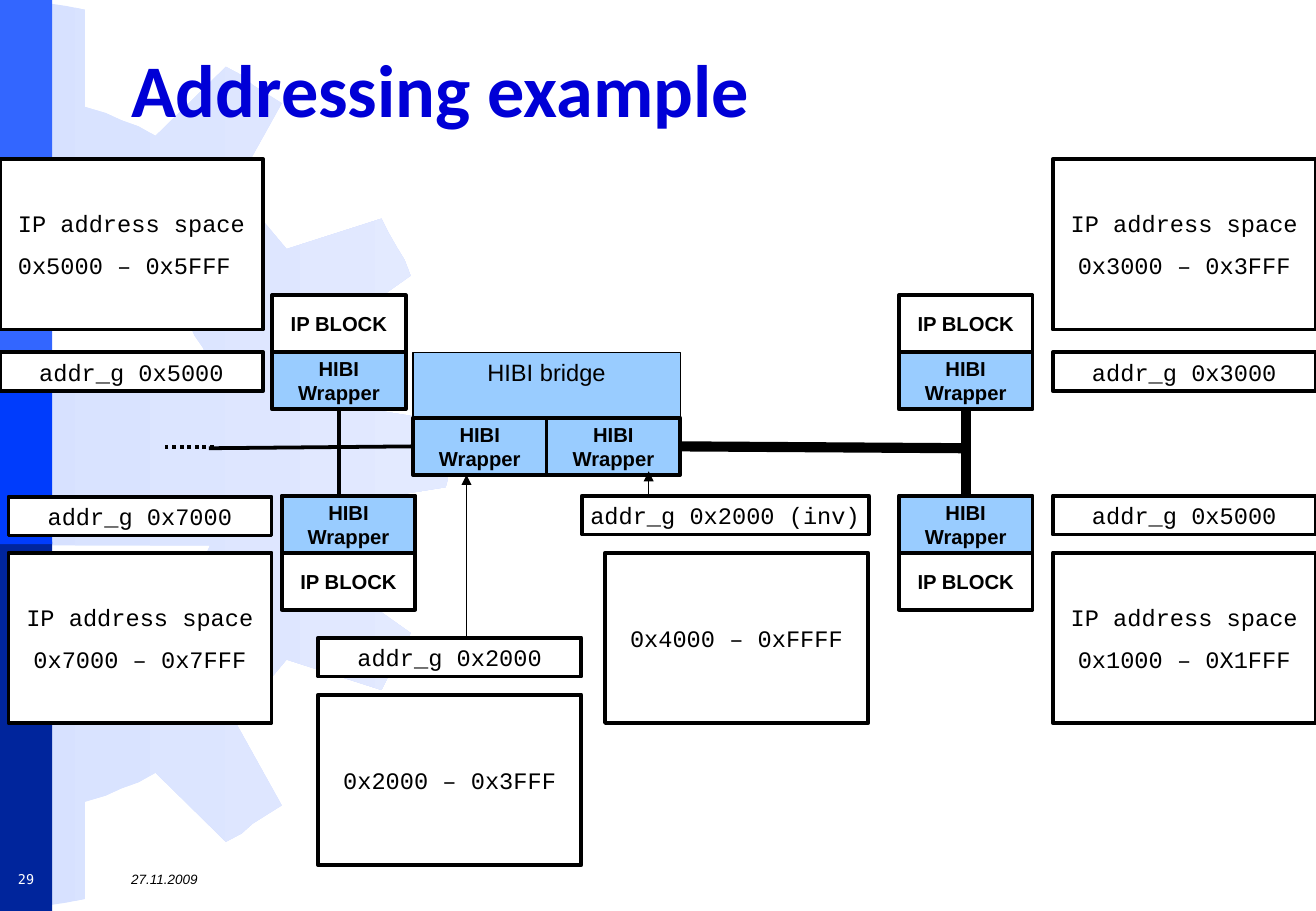
import dataclasses
from typing import Optional

import pptx
import pptx.dml.color
import pptx.enum.dml
import pptx.enum.shapes
import pptx.enum.text
import pptx.oxml
import pptx.oxml.ns
import pptx.oxml.xmlchemy
import pptx.presentation
import pptx.shapes.autoshape
import pptx.shapes.connector
import pptx.slide
import pptx.util

Pt = pptx.util.Pt
RGBColor = pptx.dml.color.RGBColor
ALIGN = pptx.enum.text.PP_ALIGN
ANCHOR = pptx.enum.text.MSO_ANCHOR
SHAPE = pptx.enum.shapes.MSO_SHAPE
Shape = pptx.shapes.autoshape.Shape
Slide = pptx.slide.Slide

BLACK = RGBColor(0x00, 0x00, 0x00)
WHITE = RGBColor(0xFF, 0xFF, 0xFF)
TITLE_BLUE = RGBColor(0x00, 0x00, 0xD6)
WRAPPER_BLUE = RGBColor(0x99, 0xCC, 0xFF)
GEAR_COLORS = (RGBColor(0xD7, 0xE1, 0xFF), RGBColor(0xE3, 0xEA, 0xFF))
BANDS = (  # top, height, colour
    (0, 219.6, RGBColor(0x33, 0x66, 0xFF)),
    (321.1, 218.9, RGBColor(0x00, 0x25, 0x9C)),
    (215.3, 107.3, RGBColor(0x00, 0x3C, 0xFC)),
)
BAND_WIDTH = 31
GEAR_HEIGHT = 538.6
GEAR_UPPER_HALF = (
    (266.4, 258.5), (264.2, 249.8), (205.9, 240.5), (203.8, 230.4), (202.3, 219.6),
    (198, 209.5), (196.6, 196.6), (243.4, 163.4), (239.8, 154.1), (235.4, 146.9),
    (230.4, 138.2), (226.1, 129.6), (169.9, 147.6), (162, 138.2), (154.8, 129.6),
    (148.3, 121.7), (138.2, 113), (167, 61.2), (157.7, 55.4), (149.8, 50.4),
    (143.3, 44.6), (133.9, 39.6), (92.2, 80.6), (82.1, 74.9), (72, 71.3),
    (62.6, 67), (50.4, 63.4), (50.4, 5.8), (39.6, 3.6), (30.2, 2.2), (20.9, 0.7),
    (10.1, 0), (10.1, 126.7), (20.2, 129.6), (30.2, 130.3), (38.9, 133.9),
    (46.8, 137.5), (56.2, 141.1), (64.1, 144.7), (72, 150.5), (79.9, 155.5),
    (85.7, 162.7), (93.6, 168.5), (100.1, 174.2), (105.8, 182.2), (111.6, 190.1),
    (115.2, 198.7), (120.2, 205.9), (124.6, 215.3), (0, 215.3),
)


@dataclasses.dataclass(frozen=True)
class TextStyle:
    font: dict
    paragraph: dict
    frame: dict


@dataclasses.dataclass(frozen=True)
class BoxStyle:
    text: TextStyle
    fill: RGBColor = WHITE
    line_width: float = 2.25
    preset: SHAPE = SHAPE.RECTANGLE


@dataclasses.dataclass(frozen=True)
class Box:
    left: float
    top: float
    width: float
    height: float
    text: str
    style: BoxStyle


@dataclasses.dataclass(frozen=True)
class Wire:
    """A line; begin and end name a box and the side that it joins."""
    start: tuple
    stop: tuple
    width: float
    begin: Optional[tuple] = None
    end: Optional[tuple] = None
    dotted: bool = False
    arrow: bool = False


CENTERED = {"alignment": ALIGN.CENTER}
NO_WRAP = {"word_wrap": False, "vertical_anchor": ANCHOR.MIDDLE}
WRAP = {"word_wrap": True, "vertical_anchor": ANCHOR.MIDDLE}
TIGHT = {**NO_WRAP, "margin_top": 0, "margin_bottom": 0}

BLOCK_TEXT = TextStyle({"name": "Arial", "size": Pt(12), "bold": True}, CENTERED, TIGHT)
CODE_TEXT = TextStyle({"name": "Courier New", "size": Pt(14)},
                      {**CENTERED, "space_before": Pt(8)}, NO_WRAP)
BRIDGE_TEXT = TextStyle({"name": "Arial", "size": Pt(14)}, CENTERED,
                        {"word_wrap": False, "vertical_anchor": ANCHOR.TOP})
TITLE_TEXT = TextStyle({"name": "Calibri", "size": Pt(44), "bold": True},
                       {"line_spacing": 0.9},
                       {"word_wrap": True, "vertical_anchor": ANCHOR.BOTTOM})
DATE_TEXT = TextStyle({"name": "Arial", "size": Pt(8), "italic": True}, {}, WRAP)
NUMBER_TEXT = TextStyle({"name": "DejaVu Sans Mono", "size": Pt(8)}, CENTERED, WRAP)

WRAPPER = BoxStyle(BLOCK_TEXT, fill=WRAPPER_BLUE, preset=SHAPE.FLOWCHART_PROCESS)
IP_BLOCK = BoxStyle(BLOCK_TEXT, preset=SHAPE.FLOWCHART_PROCESS)
BRIDGE = BoxStyle(BRIDGE_TEXT, fill=WRAPPER_BLUE, line_width=0.75)
CODE = BoxStyle(CODE_TEXT)

TOP, LEFT, BOTTOM, RIGHT = range(4)
BLOCK_WIDTH, BLOCK_HEIGHT = 79.2, 33.8
CODE_WIDTH, ADDRESS_HEIGHT, SPACE_HEIGHT = 156, 23, 101
UPPER_SPACE, UPPER_BLOCK, UPPER_WRAPPER = 94.3, 175, 208.8
BRIDGE_WRAPPER, LOWER_WRAPPER, LOWER_BLOCK = 247.7, 293.8, 327.6
BRIDGE_LEFT, RIGHT_BLOCKS, RIGHT_CODE = 244.8, 532.8, 624
BUS = 265.7


def wrapper(left: float, top: float) -> Box:
    return Box(left, top, BLOCK_WIDTH, BLOCK_HEIGHT, "HIBI\nWrapper", WRAPPER)


def ip_block(left: float, top: float) -> Box:
    return Box(left, top, BLOCK_WIDTH, BLOCK_HEIGHT, "IP BLOCK", IP_BLOCK)


def address(left: float, top: float, value: str, width: float = CODE_WIDTH) -> Box:
    return Box(left, top, width, ADDRESS_HEIGHT, f"addr_g {value}", CODE)


def space(left: float, top: float, text: str) -> Box:
    return Box(left, top, CODE_WIDTH, SPACE_HEIGHT, text, CODE)


BOXES = {
    "bridge": Box(BRIDGE_LEFT, UPPER_WRAPPER, 2 * BLOCK_WIDTH, 72.7, "HIBI bridge", BRIDGE),
    "bridge left": wrapper(BRIDGE_LEFT, BRIDGE_WRAPPER),
    "bridge right": wrapper(BRIDGE_LEFT + BLOCK_WIDTH, BRIDGE_WRAPPER),
    "upper left": wrapper(161.3, UPPER_WRAPPER),
    "upper left block": ip_block(161.3, UPPER_BLOCK),
    "lower left": wrapper(167, LOWER_WRAPPER),
    "lower left block": ip_block(167, LOWER_BLOCK),
    "upper right": wrapper(RIGHT_BLOCKS, UPPER_WRAPPER),
    "upper right block": ip_block(RIGHT_BLOCKS, UPPER_BLOCK),
    "lower right": wrapper(RIGHT_BLOCKS, LOWER_WRAPPER),
    "lower right block": ip_block(RIGHT_BLOCKS, LOWER_BLOCK),
    "upper left address": address(0, UPPER_WRAPPER, "0x5000"),
    "upper left space": space(0, UPPER_SPACE, "IP address space\n0x5000 – 0x5FFF "),
    "lower left address": address(5, 294.5, "0x7000"),
    "lower left space": space(5, LOWER_BLOCK, "IP address space\n0x7000 – 0x7FFF"),
    "upper right address": address(RIGHT_CODE, UPPER_WRAPPER, "0x3000"),
    "upper right space": space(RIGHT_CODE, UPPER_SPACE, "IP address space\n0x3000 – 0x3FFF"),
    "lower right address": address(RIGHT_CODE, LOWER_WRAPPER, "0x5000"),
    "lower right space": space(RIGHT_CODE, LOWER_BLOCK, "IP address space\n0x1000 – 0X1FFF"),
    "bridge left address": address(188.6, 378, "0x2000"),
    "bridge left space": space(188.6, 411.8, "0x2000 – 0x3FFF"),
    "bridge right address": address(344.9, LOWER_WRAPPER, "0x2000 (inv)", 170),
    "bridge right space": space(358.6, LOWER_BLOCK, "0x4000 – 0xFFFF"),
}
WIRES = (
    Wire((200.9, LOWER_WRAPPER), (200.9, 242.6), 2.25, end=("upper left", BOTTOM)),
    Wire((572.4, LOWER_WRAPPER), (572.4, 242.6), 6,
         begin=("lower right", TOP), end=("upper right", BOTTOM)),
    Wire((403.2, 264.6), (572.4, BUS), 6, begin=("bridge right", RIGHT)),
    Wire((BRIDGE_LEFT, 264.6), (123.8, BUS), 2.25, begin=("bridge left", LEFT)),
    Wire((126.7, 265), (97.9, 265), 2.25, dotted=True),
    Wire((276.5, 378), (276.5, 281.5), 0.75, arrow=True),
    Wire((384.5, LOWER_WRAPPER), (384.5, 279.4), 0.75, arrow=True),
)


def set_attributes(target: object, values: dict) -> None:
    for name, value in values.items():
        setattr(target, name, value)


def write_text(shape: Shape, text: str, style: TextStyle, color: RGBColor = BLACK) -> None:
    shape.text_frame.text = text
    set_attributes(shape.text_frame, style.frame)
    for paragraph in shape.text_frame.paragraphs:
        set_attributes(paragraph, style.paragraph)
        set_attributes(paragraph.runs[0].font, style.font)
        paragraph.runs[0].font.color.rgb = color


def add_filled(slide: Slide, preset: SHAPE, bounds: tuple, color: RGBColor) -> Shape:
    shape = slide.shapes.add_shape(preset, *map(Pt, bounds))
    shape.shadow.inherit = False
    shape.fill.solid()
    shape.fill.fore_color.rgb = color
    return shape


def add_box(slide: Slide, box: Box) -> Shape:
    bounds = (box.left, box.top, box.width, box.height)
    shape = add_filled(slide, box.style.preset, bounds, box.style.fill)
    shape.line.color.rgb = BLACK
    shape.line.width = Pt(box.style.line_width)
    write_text(shape, box.text, box.style.text)
    return shape


def add_label(slide: Slide, bounds: tuple, text: str, style: TextStyle, color: RGBColor) -> None:
    write_text(slide.shapes.add_textbox(*map(Pt, bounds)), text, style, color)


def add_wire(slide: Slide, wire: Wire, shapes: dict) -> None:
    connector = slide.shapes.add_connector(
        pptx.enum.shapes.MSO_CONNECTOR.STRAIGHT, *map(Pt, wire.start + wire.stop))
    for joint, connect in ((wire.begin, connector.begin_connect), (wire.end, connector.end_connect)):
        if joint:
            connect(shapes[joint[0]], joint[1])
    connector.line.color.rgb = BLACK
    connector.line.width = Pt(wire.width)
    if wire.dotted:
        connector.line.dash_style = pptx.enum.dml.MSO_LINE.ROUND_DOT
    properties = connector.element.spPr
    if wire.arrow:
        tail = pptx.oxml.xmlchemy.OxmlElement("a:tailEnd")
        tail.set("type", "triangle")
        properties.find(pptx.oxml.ns.qn("a:ln")).append(tail)
    properties.append(pptx.oxml.xmlchemy.OxmlElement("a:effectLst"))


def add_background(slide: Slide) -> None:
    """Draw the gear, whose lower half mirrors the upper one, and the side bands."""
    lower_half = [(x, GEAR_HEIGHT - y) for x, y in reversed(GEAR_UPPER_HALF)]
    points = [(Pt(x), Pt(y)) for x, y in (*GEAR_UPPER_HALF, *lower_half)]
    builder = slide.shapes.build_freeform(*points[0], scale=1.0)
    builder.add_line_segments(points[1:], close=True)
    gear = builder.convert_to_shape()
    gear.shadow.inherit = False
    gear.line.fill.background()
    gear.fill.gradient()
    gear.fill.gradient_angle = 0
    for stop, color in zip(gear.fill.gradient_stops, GEAR_COLORS):
        stop.color.rgb = color
    for top, height, color in BANDS:
        band = add_filled(slide, SHAPE.RECTANGLE, (0, top, BAND_WIDTH, height), color)
        band.line.fill.background()


def main() -> None:
    presentation = pptx.Presentation()
    presentation.slide_width, presentation.slide_height = Pt(780), Pt(540)
    slide = presentation.slides.add_slide(presentation.slide_layouts[6])
    add_background(slide)
    add_label(slide, (70.6, 15.1, 676, 67.7), "Addressing example", TITLE_TEXT, TITLE_BLUE)
    add_label(slide, (70.6, 512, 676, 18.7), "27.11.2009", DATE_TEXT, BLACK)
    add_label(slide, (0, 512, BAND_WIDTH, 18.7), "29", NUMBER_TEXT, WHITE)
    shapes = {name: add_box(slide, box) for name, box in BOXES.items()}
    for wire in WIRES:
        add_wire(slide, wire, shapes)
    presentation.save("out.pptx")


if __name__ == "__main__":
    main()
